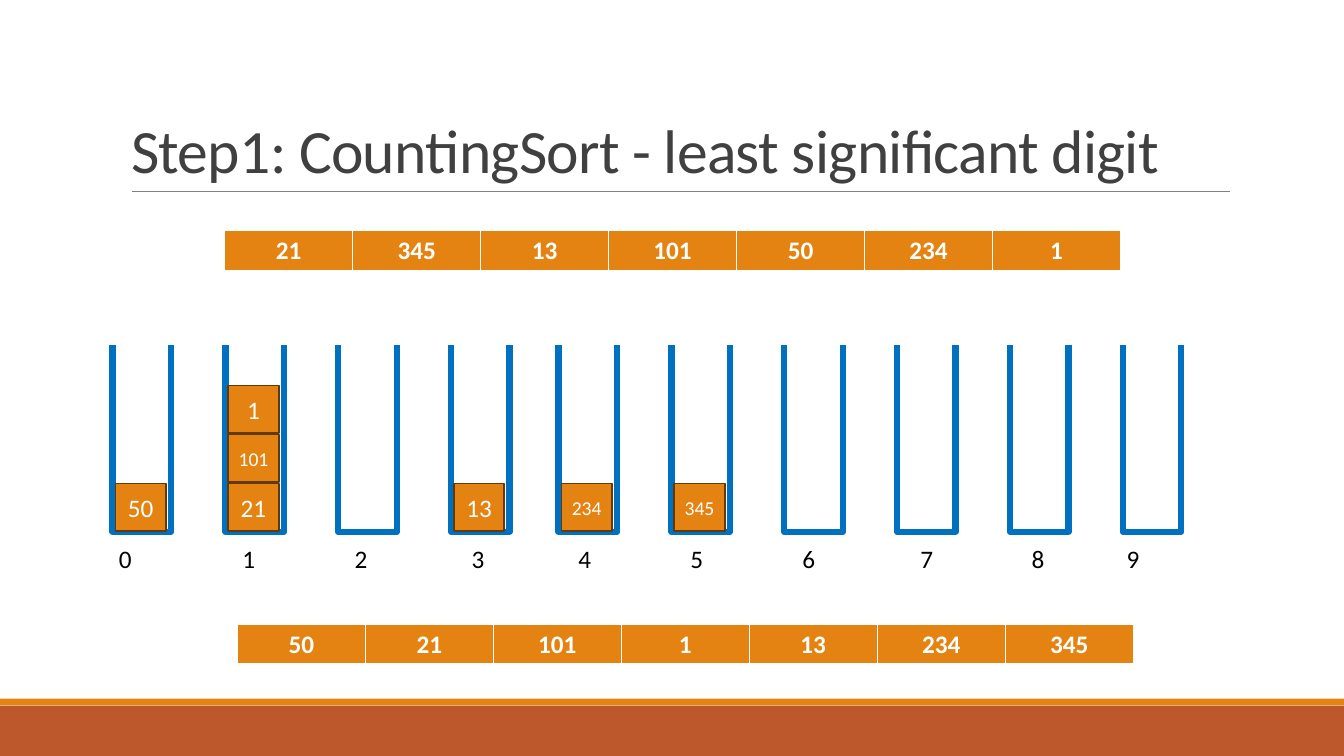
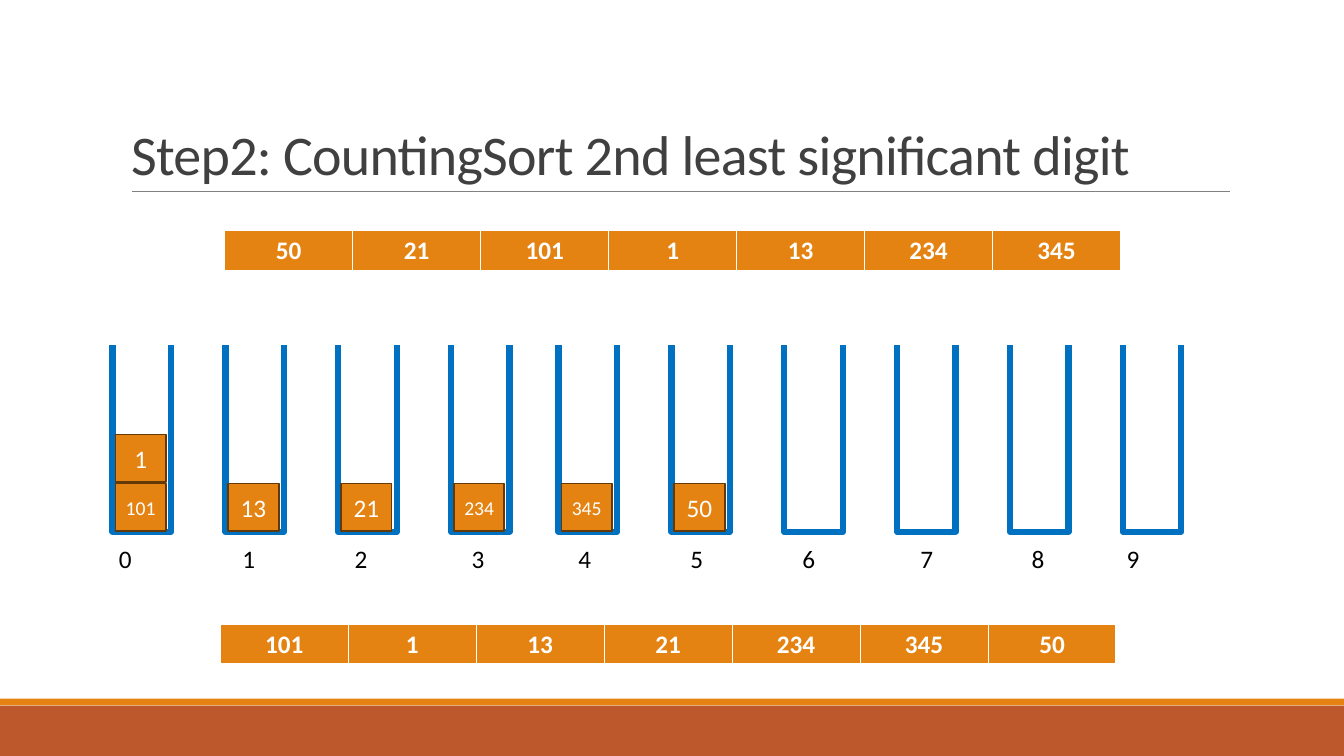
from lxml import etree
from pptx import Presentation
from pptx.dml.color import RGBColor
from pptx.enum.shapes import MSO_CONNECTOR, MSO_SHAPE
from pptx.enum.text import MSO_ANCHOR, MSO_AUTO_SIZE, PP_ALIGN
from pptx.oxml.ns import qn
from pptx.util import Pt

NUMBERS = [21, 345, 13, 101, 50, 234, 1]
STEPS = [
    {"title": "Step1: CountingSort - least significant digit",
     "title_size": 44, "place": 1, "result_left": 169.5},
    {"title": "Step2: CountingSort 2nd least significant digit",
     "title_size": 40, "place": 10, "result_left": 157.3},
]

RECTANGLE = MSO_SHAPE.RECTANGLE
STRAIGHT = MSO_CONNECTOR.STRAIGHT
LEFT, CENTER = PP_ALIGN.LEFT, PP_ALIGN.CENTER
MIDDLE, BOTTOM = MSO_ANCHOR.MIDDLE, MSO_ANCHOR.BOTTOM
NO_AUTO_SIZE = MSO_AUTO_SIZE.NONE

WHITE = RGBColor(0xFF, 0xFF, 0xFF)
BLACK = RGBColor(0, 0, 0)
ORANGE = RGBColor(0xE4, 0x83, 0x12)
RUST = RGBColor(0xBD, 0x58, 0x2C)
BROWN = RGBColor(0x64, 0x39, 0x08)
BLUE = RGBColor(0x00, 0x70, 0xC0)
DARK_GRAY = RGBColor(0x40, 0x40, 0x40)
RULE_GRAY = RGBColor(0x80, 0x80, 0x80)
FONT = "Calibri"

SLIDE_WIDTH, SLIDE_HEIGHT = 960, 540
TITLE_BOX = {"left": 86.4, "top": 22.3, "width": 792, "height": 114.5}
BANDS = [(504, 36, RUST), (499, 4.8, ORANGE)]
RULE_LEFT, RULE_RIGHT, RULE_TOP = 94.3, 878.8, 136.8

INPUT_LEFT, INPUT_TOP, RESULT_TOP = 160.5, 164.9, 446
CELL_WIDTH, CELL_HEIGHT = 91.44, 28.8
CELL_BORDERS = {"lnL": 1, "lnR": 1, "lnT": 1, "lnB": 3}

BUCKET_COUNT = 10
BUCKET_TOP, BUCKET_WIDTH, BUCKET_HEIGHT = 225.8, 41.8, 154
FIRST_BUCKET, BUCKET_PITCH = 80.4, 80.6
GROUP_SIZE, GROUP_SHIFT = 4, 3.8
OPENING_BOX = (59, 203.8, 833.8, 41.8)

BLOCK_WIDTH, BLOCK_HEIGHT, BLOCK_PITCH = 36, 33.8, 35
BLOCK_TOP, BLOCK_INSET = 345.4, 2.1

LABEL_BOX = (77.8, 384.5, 758.2, 51.1)
LABEL_STOPS = [92.9, 172.9, 256.5, 332.9, 412.9, 492.9, 577.2, 656.5, 724.5]


def points(*lengths):
    return [Pt(length) for length in lengths]


def format_font(font, size, color, bold=False):
    formats = {"name": FONT, "size": Pt(size), "bold": bold}
    for name, value in formats.items():
        setattr(font, name, value)
    font.color.rgb = color


def set_line(line, color, width):
    line.color.rgb = color
    line.width = Pt(width)


def add_rectangle(slide, box, fill, line_color=None, line_width=0):
    shape = slide.shapes.add_shape(RECTANGLE, *points(*box))
    shape.shadow.inherit = False
    shape.fill.solid()
    shape.fill.fore_color.rgb = fill
    if line_color is None:
        shape.line.fill.background()
    else:
        set_line(shape.line, line_color, line_width)
    return shape


def decorate_layout(layout, slide):
    """Draw the shared bands and title rule, then move them to the layout."""
    parts = [add_rectangle(slide, (0, top, SLIDE_WIDTH, height), color)
             for top, height, color in BANDS]
    rule = slide.shapes.add_connector(
        STRAIGHT, *points(RULE_LEFT, RULE_TOP, RULE_RIGHT, RULE_TOP))
    set_line(rule.line, RULE_GRAY, 0.5)
    etree.SubElement(rule.element.spPr, qn("a:effectLst"))
    for part in parts + [rule]:
        layout.shapes.element.append(part.element)


def add_title(slide, text, size):
    title = slide.shapes.title
    for name, value in TITLE_BOX.items():
        setattr(title, name, Pt(value))
    frame = title.text_frame
    frame.text = text
    formats = {"auto_size": NO_AUTO_SIZE, "word_wrap": True,
               "vertical_anchor": BOTTOM}
    for name, value in formats.items():
        setattr(frame, name, value)
    paragraph = frame.paragraphs[0]
    paragraph.alignment = LEFT
    paragraph.line_spacing = 0.85
    run = paragraph.runs[0]
    format_font(run.font, size, DARK_GRAY)
    run._r.get_or_add_rPr().set("spc", "-50")


def add_number_row(slide, numbers, left, top):
    box = points(left, top, CELL_WIDTH * len(numbers), CELL_HEIGHT)
    table = slide.shapes.add_table(1, len(numbers), *box).table
    table.horz_banding = False
    for column, number in enumerate(numbers):
        table.columns[column].width = Pt(CELL_WIDTH)
        cell = table.cell(0, column)
        properties = cell._tc.get_or_add_tcPr()
        for tag, width in CELL_BORDERS.items():
            border = etree.SubElement(properties, qn(f"a:{tag}"), w=str(Pt(width)))
            fill = etree.SubElement(border, qn("a:solidFill"))
            etree.SubElement(fill, qn("a:srgbClr"), val=str(WHITE))
        cell.fill.solid()
        cell.fill.fore_color.rgb = ORANGE
        cell.text = str(number)
        paragraph = cell.text_frame.paragraphs[0]
        paragraph.alignment = CENTER
        format_font(paragraph.runs[0].font, 18, WHITE, bold=True)


def bucket_left(digit):
    shift = GROUP_SHIFT if digit >= GROUP_SIZE else 0
    return FIRST_BUCKET + digit * BUCKET_PITCH - shift


def add_buckets(slide):
    """Draw the row of buckets and the white band that opens their tops."""
    for digit in range(BUCKET_COUNT):
        box = (bucket_left(digit), BUCKET_TOP, BUCKET_WIDTH, BUCKET_HEIGHT)
        add_rectangle(slide, box, WHITE, BLUE, 4.5)
    add_rectangle(slide, OPENING_BOX, WHITE, WHITE, 1.25)


def add_block(slide, number, digit, level):
    box = (bucket_left(digit) + BLOCK_INSET, BLOCK_TOP - level * BLOCK_PITCH,
           BLOCK_WIDTH, BLOCK_HEIGHT)
    frame = add_rectangle(slide, box, ORANGE, BROWN, 1.25).text_frame
    frame.margin_left = frame.margin_right = 0
    frame.vertical_anchor = MIDDLE
    frame.text = str(number)
    paragraph = frame.paragraphs[0]
    paragraph.alignment = CENTER
    format_font(paragraph.runs[0].font, 14 if number >= 100 else 18, WHITE)


def add_digit_labels(slide):
    frame = slide.shapes.add_textbox(*points(*LABEL_BOX)).text_frame
    frame.word_wrap = True
    paragraph = frame.paragraphs[0]
    tabs = etree.SubElement(paragraph._p.get_or_add_pPr(), qn("a:tabLst"))
    for stop in LABEL_STOPS:
        etree.SubElement(tabs, qn("a:tab"), pos=str(Pt(stop)), algn="ctr")
    run = paragraph.add_run()
    run.text = "\t".join(str(digit) for digit in range(BUCKET_COUNT))
    format_font(run.font, 18, BLACK)


def distribute(numbers, place):
    """Group the numbers by their digit at the given place, keeping order."""
    buckets = [[] for _ in range(BUCKET_COUNT)]
    for number in numbers:
        buckets[number // place % 10].append(number)
    return buckets


def fill_slide(slide, step, numbers):
    """Draw one sorting step and return the numbers in their new order."""
    add_title(slide, step["title"], step["title_size"])
    add_buckets(slide)
    add_number_row(slide, numbers, INPUT_LEFT, INPUT_TOP)
    add_digit_labels(slide)
    buckets = distribute(numbers, step["place"])
    for digit, bucket in enumerate(buckets):
        for level, number in enumerate(bucket):
            add_block(slide, number, digit, level)
    result = [number for bucket in buckets for number in bucket]
    add_number_row(slide, result, step["result_left"], RESULT_TOP)
    return result


def main():
    presentation = Presentation()
    presentation.slide_width, presentation.slide_height = points(
        SLIDE_WIDTH, SLIDE_HEIGHT)
    layout = presentation.slide_layouts.get_by_name("Title Only")
    slides = [presentation.slides.add_slide(layout) for _ in STEPS]
    decorate_layout(layout, slides[0])
    numbers = NUMBERS
    for slide, step in zip(slides, STEPS):
        numbers = fill_slide(slide, step, numbers)
    presentation.save("out.pptx")


if __name__ == "__main__":
    main()
